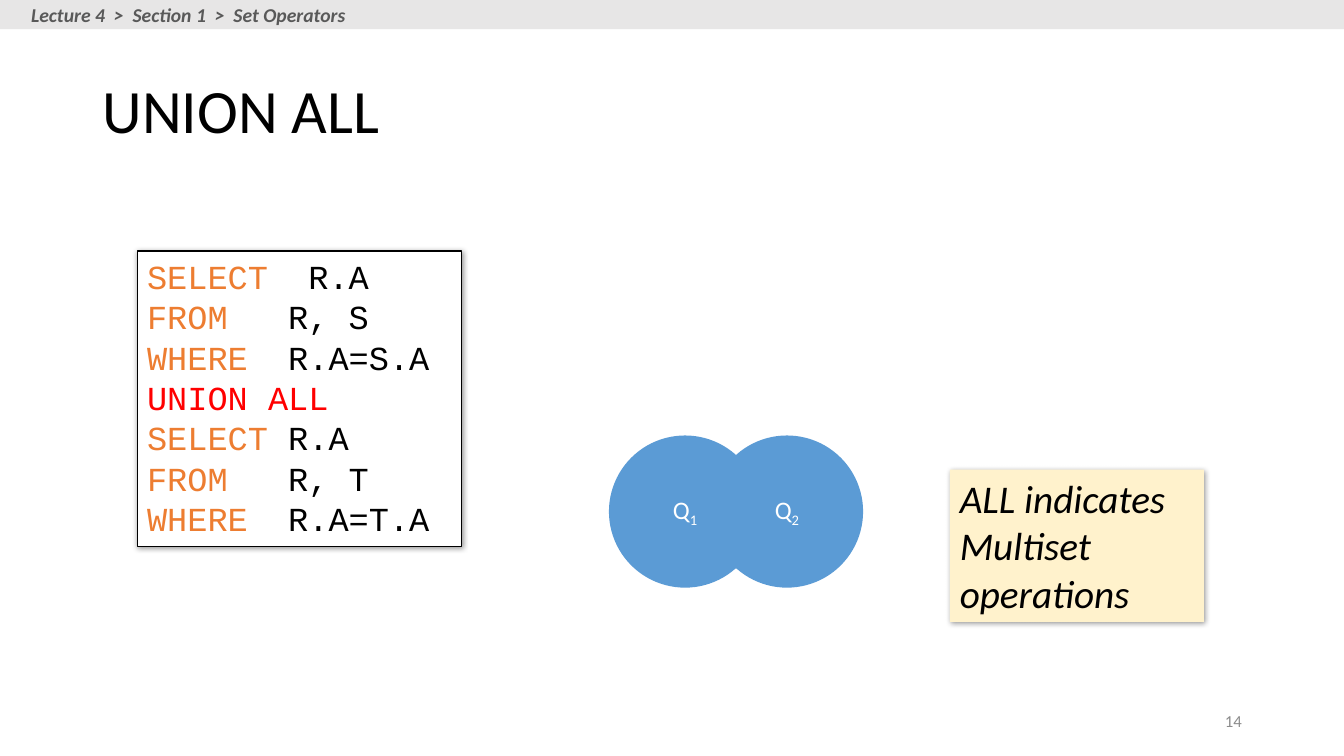
"""Build the UNION ALL slide on set operators."""
import dataclasses
import typing

import lxml.etree
import pptx
import pptx.dml.color
import pptx.enum.shapes
import pptx.enum.text
import pptx.oxml.ns
import pptx.util

WIDTH, HEIGHT = pptx.util.Inches(13.33), pptx.util.Inches(7.5)
BLACK, WHITE, GREY, PALE_GREY = "000000", "FFFFFF", "595959", "E7E6E6"
ORANGE, RED, BLUE, CREAM = "ED7D31", "FF0000", "5B9BD5", "FFF2CC"
RECTANGLE = pptx.enum.shapes.MSO_SHAPE.RECTANGLE
OVAL = pptx.enum.shapes.MSO_SHAPE.OVAL
LEFT, CENTER, RIGHT = (pptx.enum.text.PP_ALIGN.LEFT, pptx.enum.text.PP_ALIGN.CENTER,
                       pptx.enum.text.PP_ALIGN.RIGHT)
TOP, MIDDLE = pptx.enum.text.MSO_ANCHOR.TOP, pptx.enum.text.MSO_ANCHOR.MIDDLE


class Piece(typing.NamedTuple):
    """A stretch of text in one colour."""
    text: str
    colour: str = BLACK
    subscript: bool = False


class Area(typing.NamedTuple):
    """A place on the slide, in percent of its width and height."""
    left: float
    top: float
    width: float
    height: float


@dataclasses.dataclass
class Block:
    """A text block with an optional filled outline."""
    area: Area
    lines: list[list[Piece]]
    size: float = 18
    font: str = "Calibri"
    bold: bool = False
    italic: bool = False
    align: typing.Any = LEFT
    anchor: typing.Any = TOP
    spacing: float = 1.0
    wrap: bool = True
    outline: typing.Any = None
    fill: str = WHITE
    border: str = ""
    shadow: bool = False


def rgb(colour: str) -> pptx.dml.color.RGBColor:
    """Turn a hex string into a colour."""
    return pptx.dml.color.RGBColor.from_string(colour)


def add_shadow(shape: typing.Any) -> None:
    """Give the shape a soft shadow to the lower right."""
    effects = shape._element.spPr.find(pptx.oxml.ns.qn("a:effectLst"))
    shadow = lxml.etree.SubElement(effects, pptx.oxml.ns.qn("a:outerShdw"), blurRad="50800",
                                   dist="12700", dir="2700000", algn="tl", rotWithShape="0")
    tint = lxml.etree.SubElement(shadow, pptx.oxml.ns.qn("a:srgbClr"), val=BLACK)
    lxml.etree.SubElement(tint, pptx.oxml.ns.qn("a:alpha"), val="40000")


def add_outline(slide: typing.Any, block: Block, place: tuple[int, ...]) -> typing.Any:
    """Add the preset shape of a block and style it."""
    shape = slide.shapes.add_shape(block.outline, *place)
    shape.shadow.inherit = False
    shape.fill.solid()
    shape.fill.fore_color.rgb = rgb(block.fill)
    if block.border:
        shape.line.color.rgb = rgb(block.border)
        shape.line.width = pptx.util.Pt(0.75)
    else:
        shape.line.fill.background()
    if block.shadow:
        add_shadow(shape)
    return shape


def add_block(slide: typing.Any, block: Block) -> None:
    """Draw a block and write its lines run by run."""
    place = tuple(int(share * side / 100)
                  for share, side in zip(block.area, (WIDTH, HEIGHT) * 2))
    if block.outline is None:
        shape = slide.shapes.add_textbox(*place)
    else:
        shape = add_outline(slide, block, place)
    frame = shape.text_frame
    frame.word_wrap = block.wrap
    frame.vertical_anchor = block.anchor
    for index, line in enumerate(block.lines):
        paragraph = frame.add_paragraph() if index else frame.paragraphs[0]
        paragraph.alignment = block.align
        paragraph.line_spacing = block.spacing
        for piece in line:
            run = paragraph.add_run()
            run.text = piece.text
            run.font.name = block.font
            run.font.size = pptx.util.Pt(block.size)
            run.font.bold, run.font.italic = block.bold, block.italic
            run.font.color.rgb = rgb(piece.colour)
            if piece.subscript:
                run._r.get_or_add_rPr().set("baseline", "-25000")


def clause(keyword: str, rest: str) -> list[Piece]:
    """Colour the keyword of one SQL line."""
    return [Piece(keyword, ORANGE), Piece(rest)]


QUERY = [
    clause("SELECT", "  R.A"),
    clause("FROM", "   R, S"),
    clause("WHERE", "  R.A=S.A"),
    [Piece("UNION ALL", RED)],
    clause("SELECT", " R.A"),
    clause("FROM", "   R, T"),
    clause("WHERE", "  R.A=T.A"),
]
QUERY_SETS = [
    Block(Area(45.31 + 7.58 * index, 57.6, 11.33, 20.13),
          [[Piece("Q", WHITE), Piece(str(index + 1), WHITE, True)]],
          align=CENTER, anchor=MIDDLE, outline=OVAL, fill=BLUE)
    for index in range(2)
]
BLOCKS = [
    Block(Area(6.9, 5.33, 86.25, 19.33), [[Piece("UNION ALL")]], size=44,
          anchor=MIDDLE, spacing=0.9),
    Block(Area(70.65, 92.67, 22.5, 5.33), [[Piece("14", "8C8C8C")]], size=12,
          align=RIGHT, anchor=MIDDLE),
    Block(Area(10.2, 33.2, 24.15, 39.07), QUERY, size=24, font="Courier New",
          outline=RECTANGLE, border=BLACK, shadow=True),
    Block(Area(0, 0, 100, 3.87), [], outline=RECTANGLE, fill=PALE_GREY),
    Block(Area(1.57, 0, 25.2, 3.87),
          [[Piece("Lecture 4  >  Section 1  >  Set Operators", GREY)]],
          size=14, bold=True, italic=True, anchor=MIDDLE, wrap=False),
    *QUERY_SETS,
    Block(Area(70.67, 62.13, 18.9, 20.13), [[Piece("ALL indicates Multiset operations")]],
          size=28, italic=True, outline=RECTANGLE, fill=CREAM, shadow=True),
]


def main() -> None:
    """Build and save the slide."""
    deck = pptx.Presentation()
    deck.slide_width, deck.slide_height = WIDTH, HEIGHT
    slide = deck.slides.add_slide(deck.slide_layouts[6])
    for block in BLOCKS:
        add_block(slide, block)
    deck.save("out.pptx")


if __name__ == "__main__":
    main()
